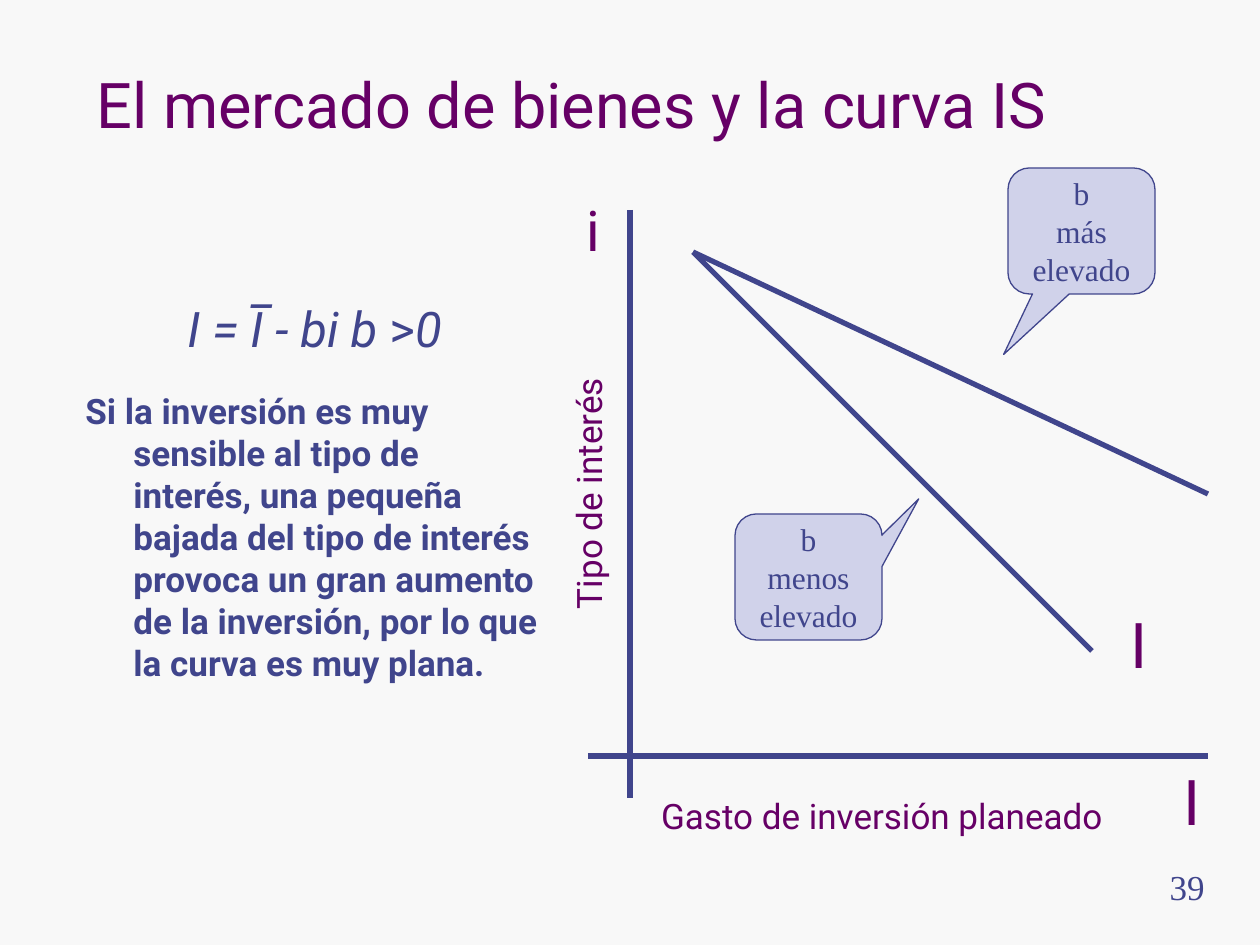
from lxml import etree
from pptx import Presentation, util as u
from pptx.dml.color import RGBColor
from pptx.enum import shapes, text as t
from pptx.oxml.ns import qn

EMU_PER_PX = 914400 / 126
BLUE, PURPLE, LAVENDER, PAPER = "40458C", "660066", "D0D2EA", "F8F8F8"
SANS, SERIF = "Roboto", "Times New Roman"
CENTER, RIGHT = t.PP_ALIGN.CENTER, t.PP_ALIGN.RIGHT


def px(length):
    """Turn pixels into EMU."""
    return u.Emu(round(length * EMU_PER_PX))


def rgb(color):
    """Turn a hex string into a colour."""
    return RGBColor.from_string(color)


def write(paragraph, text, size=20, color=PURPLE, font=SANS, bold=False, italic=False, align=None):
    """Add one formatted run to a paragraph."""
    run = paragraph.add_run()
    run.text = text
    run.font.size = u.Pt(size)
    run.font.name = font
    run.font.color.rgb = rgb(color)
    run.font.bold = bold
    run.font.italic = italic
    if align is not None:
        paragraph.alignment = align


def hang(paragraph, indent):
    """Give a paragraph a hanging indent."""
    properties = paragraph._p.get_or_add_pPr()
    properties.set("marL", str(px(indent)))
    properties.set("indent", str(-px(indent)))


def add_box(slide, box, anchor=t.MSO_ANCHOR.TOP):
    """Add a wrapping text box."""
    shape = slide.shapes.add_textbox(*map(px, box))
    shape.text_frame.word_wrap = True
    shape.text_frame.vertical_anchor = anchor
    return shape


def add_label(slide, box, text, anchor=t.MSO_ANCHOR.TOP, rotation=0, **style):
    """Add a text box holding a single line."""
    shape = add_box(slide, box, anchor)
    shape.rotation = rotation
    write(shape.text_frame.paragraphs[0], text, **style)


def add_line(slide, *ends):
    """Add a straight line between two points."""
    line = slide.shapes.add_connector(shapes.MSO_CONNECTOR.STRAIGHT, *map(px, ends))
    line.line.color.rgb = rgb(BLUE)
    line.line.width = u.Pt(3)
    etree.SubElement(line._element.spPr, qn("a:effectLst"))


def add_callout(slide, left, top, tip, lines):
    """Add a rounded speech bubble with its tip at a relative offset."""
    shape = slide.shapes.add_shape(
        shapes.MSO_SHAPE.ROUNDED_RECTANGULAR_CALLOUT, *map(px, (left, top, 147, 126)))
    shape.shadow.inherit = False
    shape.fill.solid()
    shape.fill.fore_color.rgb = rgb(LAVENDER)
    shape.line.color.rgb = rgb(BLUE)
    shape.line.width = u.Pt(0.75)
    for index, value in enumerate((*tip, 0.17)):
        shape.adjustments[index] = value
    frame = shape.text_frame
    frame.word_wrap = True
    frame.vertical_anchor = t.MSO_ANCHOR.TOP
    frame.margin_left = frame.margin_right = frame.margin_top = frame.margin_bottom = 0
    for index, line in enumerate(lines):
        paragraph = frame.add_paragraph() if index else frame.paragraphs[0]
        write(paragraph, line, size=18, color=BLUE, font=SERIF, align=CENTER)


def add_explanation(slide):
    """Add the investment equation and the comment below it."""
    frame = add_box(slide, (73, 292, 483, 570)).text_frame
    equation, comment = frame.paragraphs[0], frame.add_paragraph()
    for paragraph in (equation, comment):
        hang(paragraph, 48)
        paragraph.space_after = u.Pt(6)
    for text, italic in (("I = I̅ - bi b ", True), (">", False), ("0", True)):
        write(equation, text, size=28, color=BLUE, italic=italic, align=CENTER)
    comment.space_before = u.Pt(12.5)
    write(comment, "Si la inversión es muy sensible al tipo de interés, una pequeña bajada "
          "del tipo de interés provoca un gran aumento de la inversión, por lo que "
          "la curva es muy plana.", color=BLUE, bold=True)


def add_graph(slide):
    """Add the axes, the two investment curves and their labels."""
    add_line(slide, 630, 210, 630, 798)
    add_line(slide, 588, 756, 1208, 756)
    for end in ((1092, 651), (1208, 494)):
        add_line(slide, 693, 252, *end)
    add_label(slide, (567, 189, 53, 81), "i", size=32, align=CENTER)
    for left, top in ((1166, 756), (1113, 599)):
        add_label(slide, (left, top, 53, 88), "I", size=36, align=CENTER)
    add_label(slide, (630, 788, 504, 55), "Gasto de inversión planeado", align=CENTER)
    add_label(slide, (431, 466, 315, 55), "Tipo de interés", rotation=270, align=CENTER)
    add_callout(slide, 1008, 168, (-0.53, 0.98), ("b", "más", "elevado"))
    add_callout(slide, 735, 514, (0.75, -0.62), ("b", "menos", "elevado"))


def main():
    """Build and save the slide."""
    presentation = Presentation()
    presentation.slide_width, presentation.slide_height = px(1260), px(945)
    slide = presentation.slides.add_slide(presentation.slide_layouts[6])
    slide.background.fill.solid()
    slide.background.fill.fore_color.rgb = rgb(PAPER)
    bottom = t.MSO_ANCHOR.BOTTOM
    add_label(slide, (84, 42, 1071, 105), "El mercado de bienes y la curva IS",
              anchor=bottom, size=36)
    add_explanation(slide)
    add_graph(slide)
    add_label(slide, (955, 851, 262, 63), "39", anchor=bottom,
              color=BLUE, font=SERIF, align=RIGHT)
    presentation.save("out.pptx")


if __name__ == "__main__":
    main()
